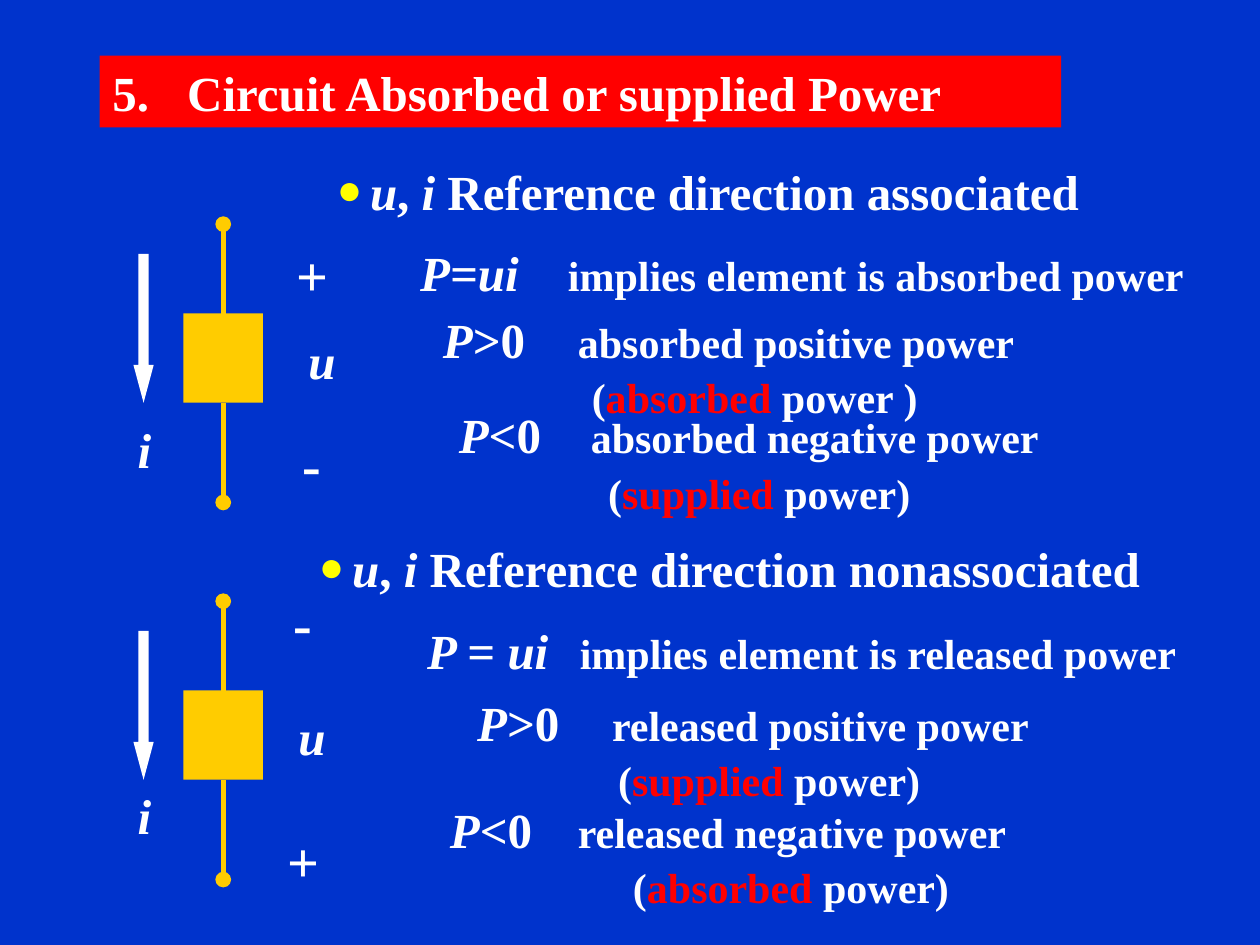
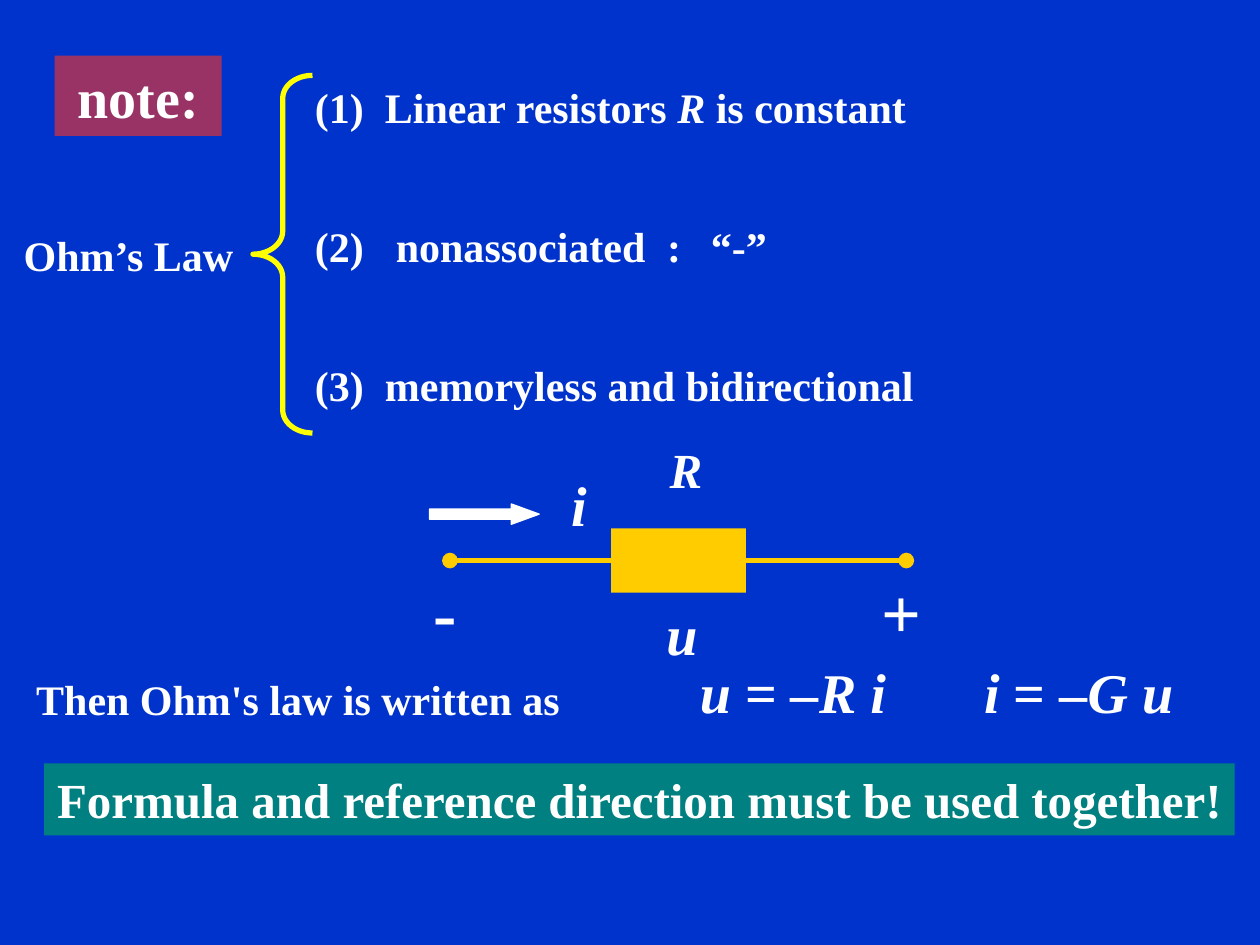
from dataclasses import dataclass

from lxml import etree
from pptx import Presentation
from pptx.dml.color import RGBColor
from pptx.enum.shapes import MSO_CONNECTOR, MSO_SHAPE
from pptx.enum.text import MSO_ANCHOR, MSO_AUTO_SIZE, PP_ALIGN
from pptx.oxml.ns import qn
from pptx.util import Cm, Pt

LEFT, CENTER = PP_ALIGN.LEFT, PP_ALIGN.CENTER
TOP, MIDDLE = MSO_ANCHOR.TOP, MSO_ANCHOR.MIDDLE
NO_FIT = MSO_AUTO_SIZE.NONE
STRAIGHT = MSO_CONNECTOR.STRAIGHT
RECTANGLE, BRACE = MSO_SHAPE.RECTANGLE, MSO_SHAPE.LEFT_BRACE
DOWN_ARROW, RIGHT_ARROW = MSO_SHAPE.DOWN_ARROW, MSO_SHAPE.RIGHT_ARROW
SIDE_TOP, SIDE_LEFT, SIDE_BOTTOM, SIDE_RIGHT = range(4)
TITLE_ONLY = 5

FONT = "Times New Roman"
BLUE, WHITE, RED, YELLOW = "0033CC", "FFFFFF", "FF0000", "FFFF00"
AMBER, PLUM, TEAL = "FFCC00", "993366", "008080"


@dataclass
class Span:
    text: str
    size: int = 24
    italic: bool = False
    color: str = WHITE


def rgb(value):
    return RGBColor.from_string(value)


def paint(fill_format, color):
    fill_format.solid()
    fill_format.fore_color.rgb = rgb(color)


def add_child(parent, tag, **attributes):
    return etree.SubElement(parent, qn(tag), attributes)


def place(shape, left, top, width, height):
    shape.left, shape.top = Cm(left), Cm(top)
    shape.width, shape.height = Cm(width), Cm(height)


def set_frame(shape, anchor=MIDDLE, wrap=True):
    frame = shape.text_frame
    frame.auto_size = NO_FIT
    frame.word_wrap = wrap
    frame.vertical_anchor = anchor
    return frame


def write(para, spans, align=LEFT, tabs=()):
    para.alignment = align
    if tabs:
        stops = add_child(para._p.get_or_add_pPr(), "a:tabLst")
        for stop in tabs:
            add_child(stops, "a:tab", pos=str(int(Cm(stop))), algn="l")
    for span in spans:
        run = para.add_run()
        run.text = span.text
        font = run.font
        font.name, font.size = FONT, Pt(span.size)
        font.bold, font.italic = True, span.italic
        font.color.rgb = rgb(span.color)


def add_text(page, spans, left, top, width, height, align=LEFT, anchor=MIDDLE, tabs=()):
    box = page.shapes.add_textbox(Cm(left), Cm(top), Cm(width), Cm(height))
    frame = set_frame(box, anchor)
    write(frame.paragraphs[0], spans, align, tabs)
    return frame


def add_label(page, text, left, top, width=1.6, size=28, italic=False):
    add_text(page, [Span(text, size, italic)], left, top, width, size * 0.05, CENTER, TOP)


def add_bullet_line(page, ending, left, top):
    frame = add_text(page, [], left, top, 18.5, 1.45)
    para = frame.paragraphs[0]
    indent = int(Cm(0.67))
    properties = para._p.get_or_add_pPr()
    properties.set("marL", str(indent))
    properties.set("indent", str(-indent))
    add_child(add_child(properties, "a:buClr"), "a:srgbClr", val=YELLOW)
    add_child(properties, "a:buSzPct", val="86000")
    add_child(properties, "a:buFont", typeface=FONT)
    add_child(properties, "a:buChar", char="●")
    write(para, [
        Span("u", 28, True), Span(", ", 28), Span("i", 28, True),
        Span(f" Reference direction {ending}", 28),
    ])


def add_power_case(page, sign, effect, verdict, ending, left, top, tab, indent):
    symbol = [Span("P", 28, True), Span(sign, 28), Span(f"\t{effect}")]
    frame = add_text(page, symbol, left, top, 14.5, 2.46, tabs=[tab])
    para = frame.add_paragraph()
    para.space_before = Pt(2)
    para._p.get_or_add_pPr().set("marL", str(int(Cm(indent))))
    write(para, [Span("("), Span(verdict, color=RED), Span(ending)])


def add_shape(page, kind, left, top, width, height, fill=None, line=None, line_width=0.75):
    shape = page.shapes.add_shape(kind, Cm(left), Cm(top), Cm(width), Cm(height))
    shape.shadow.inherit = False
    if fill:
        paint(shape.fill, fill)
    else:
        shape.fill.background()
    if line:
        paint(shape.line.fill, line)
        shape.line.width = Pt(line_width)
    else:
        shape.line.fill.background()
    return shape


def add_arrow(page, kind, left, top, width, height, head, line=None):
    arrow = add_shape(page, kind, left, top, width, height, WHITE, line)
    arrow.adjustments[0] = 0.5
    arrow.adjustments[1] = head


def add_lead(page, resistor, side, end_x, end_y):
    end = Cm(end_x), Cm(end_y)
    lead = page.shapes.add_connector(STRAIGHT, *end, *end)
    lead.begin_connect(resistor, side)
    paint(lead.line.fill, AMBER)
    lead.line.width = Pt(3)
    add_child(lead.line._get_or_add_ln(), "a:tailEnd", type="oval")
    add_child(lead._element.spPr, "a:effectLst")


def add_vertical_circuit(page, top, labels):
    resistor = add_shape(page, RECTANGLE, 3.7, top + 1.8, 1.6, 1.8, AMBER)
    add_lead(page, resistor, SIDE_TOP, 4.5, top)
    add_lead(page, resistor, SIDE_BOTTOM, 4.5, top + 5.61)
    add_arrow(page, DOWN_ARROW, 2.69, top + 0.6, 0.41, 3, 1.865)
    for text, left, offset in labels:
        letter = text.isalpha()
        add_label(page, text, left, top + offset, size=28 if letter else 32, italic=letter)


def add_page(deck, spans, band, fill, align, tabs=()):
    page = deck.slides.add_slide(deck.slide_layouts[TITLE_ONLY])
    title = page.shapes.title
    place(title, *band)
    paint(title.fill, fill)
    write(set_frame(title).paragraphs[0], spans, align, tabs)
    return page


def build_power_page(deck):
    page = add_page(deck, [Span("5.\tCircuit Absorbed or supplied Power", 28)],
                    (2.01, 1.12, 19.38, 1.45), RED, LEFT, [1.51])
    add_bullet_line(page, "associated", 6.54, 3.12)
    add_text(page, [Span("P=ui", 28, True), Span("\timplies element is absorbed power")],
             8.22, 4.75, 16.5, 1.45, tabs=[2.98])
    add_bullet_line(page, "nonassociated", 6.18, 10.72)
    add_text(page, [Span("P ", 28, True), Span("= ", 28), Span("ui", 28, True),
                    Span("\timplies element is released power")],
             8.36, 12.37, 16.5, 1.45, tabs=[3.08])
    cases = [
        (">0", "absorbed positive power", "absorbed", " power )", 8.68, 6.14, 2.72, 3),
        ("<0", "absorbed negative power", "supplied", " power)", 9, 8.07, 2.66, 3.01),
        (">0", "released positive power", "supplied", " power)", 9.37, 13.86, 2.72, 2.84),
        ("<0", "released negative power", "absorbed", " power)", 8.82, 16.02, 2.58, 3.69),
    ]
    for case in cases:
        add_power_case(page, *case)
    add_vertical_circuit(page, 4.52, [
        ("+", 5.49, 0.2), ("u", 5.69, 2.01), ("-", 5.49, 4.01), ("i", 2.11, 3.81)])
    add_vertical_circuit(page, 12.12, [
        ("-", 5.31, -0.39), ("u", 5.49, 2), ("+", 5.31, 4.42), ("i", 2.11, 3.6)])


def build_note_page(deck):
    page = add_page(deck, [Span("note:", 32)], (1.1, 1.12, 3.37, 1.62), PLUM, CENTER)
    brace = add_shape(page, BRACE, 5.1, 1.52, 1.2, 7.21, line=YELLOW, line_width=3)
    brace.adjustments[0] = 0.387
    brace.adjustments[1] = 0.5
    add_label(page, "Ohm’s Law", 0.04, 4.5, 5.1, 24)
    points = [
        ([Span("(1)\tLinear resistors "), Span("R", italic=True), Span(" is constant")], [1.41]),
        ([Span("(2)\tnonassociated\t:\t“-”")], [1.63, 7.1, 7.98]),
        ([Span("(3)\tmemoryless and bidirectional")], [1.41]),
    ]
    for index, (spans, tabs) in enumerate(points):
        add_text(page, spans, 6.1, 1.52 + 2.8 * index, 18, 1.27, tabs=tabs)

    resistor = add_shape(page, RECTANGLE, 12.32, 10.65, 2.72, 1.3, AMBER)
    add_lead(page, resistor, SIDE_LEFT, 9.07, 11.3)
    add_lead(page, resistor, SIDE_RIGHT, 18.27, 11.3)
    add_arrow(page, RIGHT_ARROW, 8.66, 10.16, 2.21, 0.41, 1.368, WHITE)
    add_label(page, "R", 13.03, 8.74, italic=True)
    add_label(page, "i", 10.87, 9.37, size=32, italic=True)
    add_label(page, "u", 12.95, 11.96, size=32, italic=True)
    add_label(page, "+", 17.38, 11.33, size=40)
    add_label(page, "-", 8.17, 11.33, size=40)

    add_text(page, [Span("Then Ohm's law is written as")], 0.48, 13.46, 12, 1.27)
    add_text(page, [
        Span("u", 32, True), Span(" = –", 32), Span("R i\ti", 32, True),
        Span(" = –", 32), Span("G u", 32, True),
    ], 13.86, 13.13, 11.5, 1.6, tabs=[5.73])
    banner = add_shape(page, RECTANGLE, 0.89, 15.39, 24, 1.45, TEAL)
    write(set_frame(banner, wrap=False).paragraphs[0],
          [Span("Formula and reference direction must be used together!", 28)], CENTER)


def main():
    deck = Presentation()
    deck.slide_width, deck.slide_height = Cm(25.4), Cm(19.05)
    paint(deck.slide_master.background.fill, BLUE)
    build_power_page(deck)
    build_note_page(deck)
    deck.save("out.pptx")


if __name__ == "__main__":
    main()
